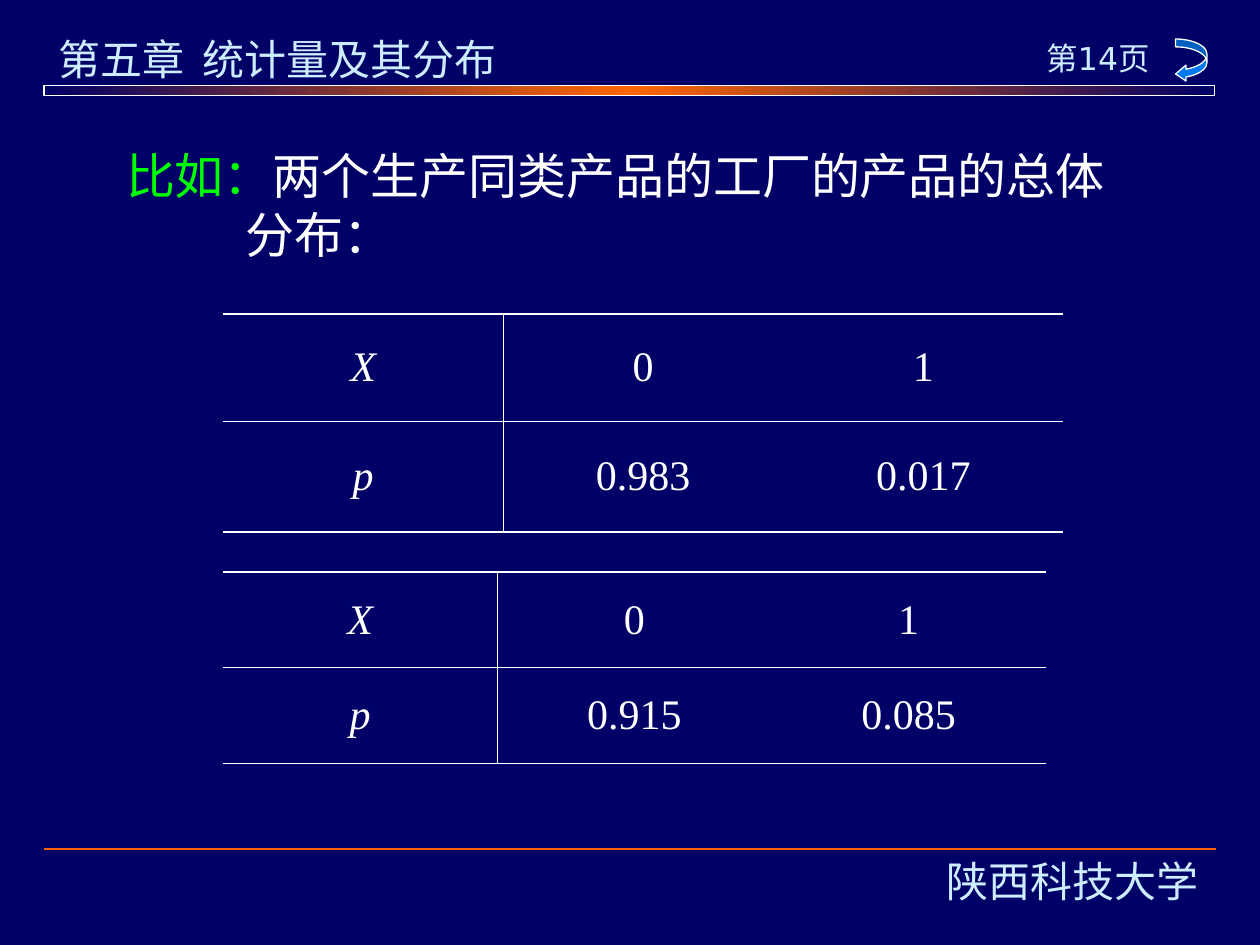
import pptx
import pptx.util
import pptx.dml.color
import pptx.enum.shapes
import pptx.enum.text
import pptx.oxml.ns
from dataclasses import dataclass
from lxml import etree

Inches, Pt = pptx.util.Inches, pptx.util.Pt
RGB = pptx.dml.color.RGBColor.from_string
Shape = pptx.enum.shapes.MSO_SHAPE
Align = pptx.enum.text.PP_ALIGN
Anchor = pptx.enum.text.MSO_ANCHOR
qn = pptx.oxml.ns.qn


@dataclass(frozen=True)
class Theme:
    back: str = "000066"
    text: str = "FFFFFF"
    pale: str = "CCECFF"
    lead: str = "00FF00"
    glow: str = "FF6600"
    arrow: str = "0078F0"
    head: int = 28
    body: int = 24
    page: int = 18
    thick: float = 1.08
    thin: float = 0.45


def sub(node, tag, **attrs):
    """Add a DrawingML child element."""
    return etree.SubElement(node, qn(tag), **attrs)


class Deck:
    def __init__(self, theme):
        self.theme = theme
        self.show = pptx.Presentation()
        self.show.slide_width, self.show.slide_height = Inches(10), Inches(7.5)
        self.slide = self.show.slides.add_slide(self.show.slide_layouts[5])
        self.slide.background.fill.solid()
        self.slide.background.fill.fore_color.rgb = RGB(theme.back)

    def style(self, par, size, face, color, italic=False):
        for run in par.runs:
            font = run.font
            font.size, font.name, font.italic = Pt(size), face, italic
            font.color.rgb = RGB(color)

    def title(self, box, lead, lines, hang):
        """Title whose later lines hang under the lead word."""
        shape = self.slide.shapes.title
        shape.left, shape.top, shape.width, shape.height = map(Inches, box)
        frame = shape.text_frame
        frame.auto_size = pptx.enum.text.MSO_AUTO_SIZE.NONE
        frame.vertical_anchor = Anchor.MIDDLE
        frame.text = lead
        par = frame.paragraphs[0]
        par.alignment = Align.LEFT
        props = par._p.get_or_add_pPr()
        props.set("marL", str(Inches(hang)))
        props.set("indent", str(-Inches(hang)))
        for num, line in enumerate(lines):
            if num:
                par.add_line_break()
            par.add_run().text = line
        self.style(par, self.theme.head, "Arial", self.theme.text)
        par.runs[0].font.color.rgb = RGB(self.theme.lead)

    def label(self, box, text, size, face, align=Align.CENTER, tab=None):
        frame = self.slide.shapes.add_textbox(*map(Inches, box)).text_frame
        frame.word_wrap = True
        frame.text = text
        par = frame.paragraphs[0]
        par.alignment = align
        if tab:
            stops = sub(par._p.get_or_add_pPr(), "a:tabLst")
            sub(stops, "a:tab", pos=str(Inches(tab)), algn="l")
        self.style(par, size, face, self.theme.pale)

    def shape(self, kind, box, color):
        shape = self.slide.shapes.add_shape(kind, *map(Inches, box))
        shape.shadow.inherit = False
        shape.fill.solid()
        shape.fill.fore_color.rgb = RGB(color)
        shape.line.color.rgb = RGB(self.theme.text)
        shape.line.width = Pt(0.75)
        return shape

    def bar(self, box):
        """Band that glows in the middle and fades at both ends."""
        band = self.shape(Shape.RECTANGLE, box, self.theme.back)
        band.fill.gradient()
        band.fill.gradient_angle = 0
        stops = band._element.xpath(".//a:gsLst")[0]
        for stop in list(stops):
            stops.remove(stop)
        ends = (0, self.theme.back), (50, self.theme.glow), (100, self.theme.back)
        for place, color in ends:
            stop = sub(stops, "a:gs", pos=str(place * 1000))
            sub(stop, "a:srgbClr", val=color)

    def arrow(self, box):
        shape = self.shape(Shape.CURVED_LEFT_ARROW, box, self.theme.arrow)
        shape.adjustments[2] = 0.33

    def rule(self, left, right, top):
        line = self.slide.shapes.add_connector(
            pptx.enum.shapes.MSO_CONNECTOR.STRAIGHT,
            Inches(left), Inches(top), Inches(right), Inches(top))
        line.line.color.rgb = RGB(self.theme.glow)
        line.line.width = Pt(1)
        sub(line._element.spPr, "a:effectLst")

    def edges(self, cell, widths):
        """Draw the left, right, top and bottom borders; zero hides one."""
        props = cell._tc.get_or_add_tcPr()
        for side, width in zip("LRTB", widths):
            line = sub(props, f"a:ln{side}", w=str(Pt(width)))
            if width:
                fill = sub(line, "a:solidFill")
                sub(fill, "a:srgbClr", val=self.theme.text)
            else:
                sub(line, "a:noFill")

    def table(self, box, heights, rows):
        thick, thin = self.theme.thick, self.theme.thin
        last = len(rows) - 1
        grid = self.slide.shapes.add_table(
            len(rows), len(rows[0]), *map(Inches, box)).table
        grid.first_row = grid.horz_banding = False
        for r, row in enumerate(rows):
            grid.rows[r].height = Inches(heights[r])
            for c, text in enumerate(row):
                cell = grid.cell(r, c)
                cell.text = text
                cell.vertical_anchor = Anchor.MIDDLE
                par = cell.text_frame.paragraphs[0]
                par.alignment = Align.CENTER
                par.space_before = Pt(6)
                self.style(par, self.theme.body, "Times New Roman",
                           self.theme.text, italic=c == 0)
                self.edges(cell, (thin if c == 1 else 0,
                                  thin if c == 0 else 0,
                                  thin if r else thick,
                                  thick if r == last else thin))
                cell.fill.background()


def main():
    theme = Theme()
    deck = Deck(theme)

    # Header and footer
    deck.rule(0.35, 9.65, 6.74)
    deck.label((0.37, 0.22, 3.86, 0.5), "第五章\t统计量及其分布",
               theme.body, "Comic Neue", Align.LEFT, tab=1.14)
    deck.bar((0.35, 0.68, 9.29, 0.08))
    deck.label((7.27, 6.74, 2.49, 0.9), "陕西科技大学", theme.body, "Karla")
    deck.label((8.1, 0.26, 1.23, 0.76), "第14页", theme.page, "DejaVu Sans")
    deck.arrow((9.33, 0.31, 0.25, 0.34))

    # Example heading
    deck.title((0.9, 1.07, 8.27, 1.1), "比如：",
               ("两个生产同类产品的工厂的产品的总体", "分布："), hang=0.95)

    # Distribution of each factory
    head = ("X", "0", "1")
    deck.table((1.77, 2.49, 6.67, 1.73), (0.85, 0.88),
               (head, ("p", "0.983", "0.017")))
    deck.table((1.77, 4.54, 6.53, 1.52), (0.76, 0.76),
               (head, ("p", "0.915", "0.085")))

    deck.show.save("out.pptx")


if __name__ == "__main__":
    main()
